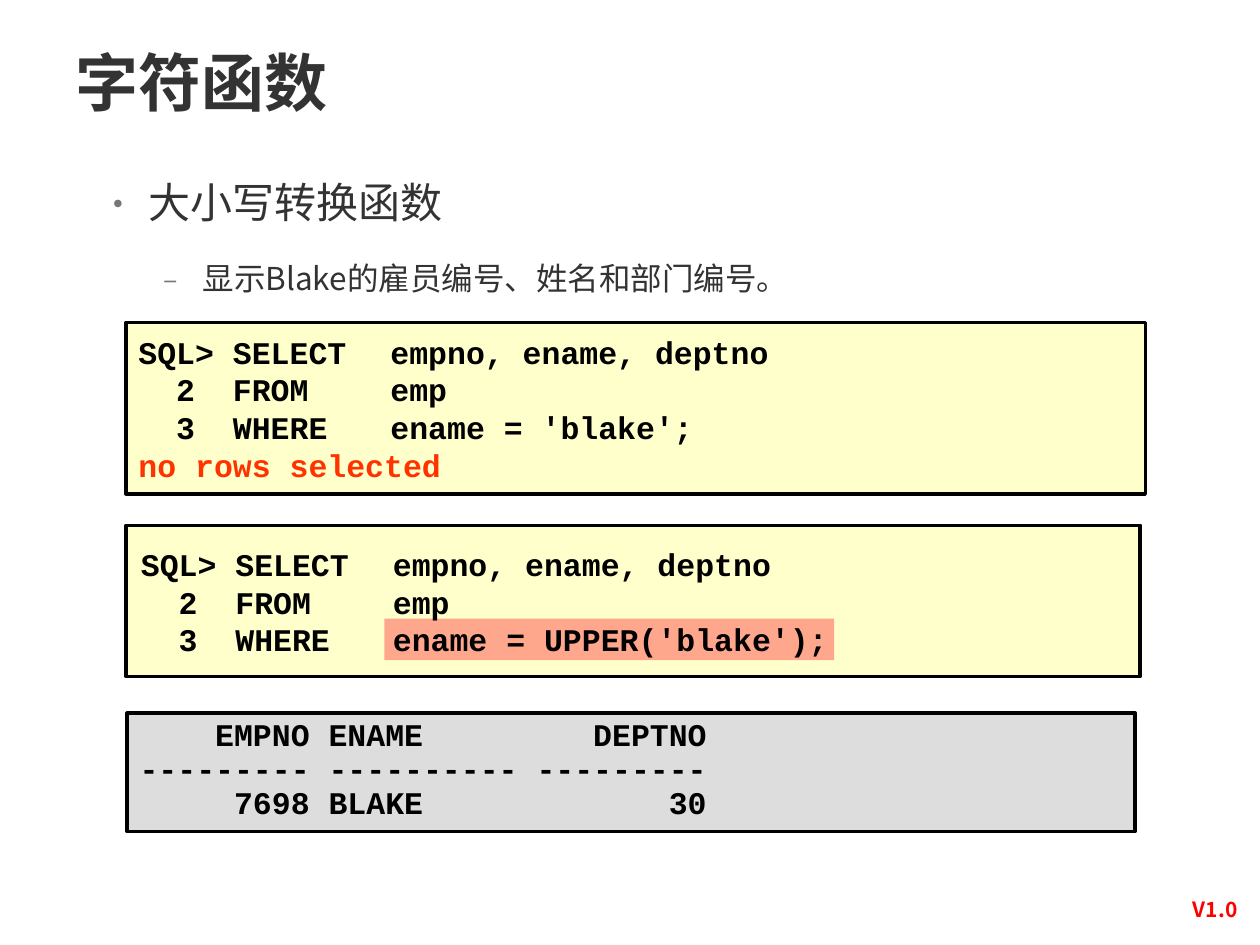
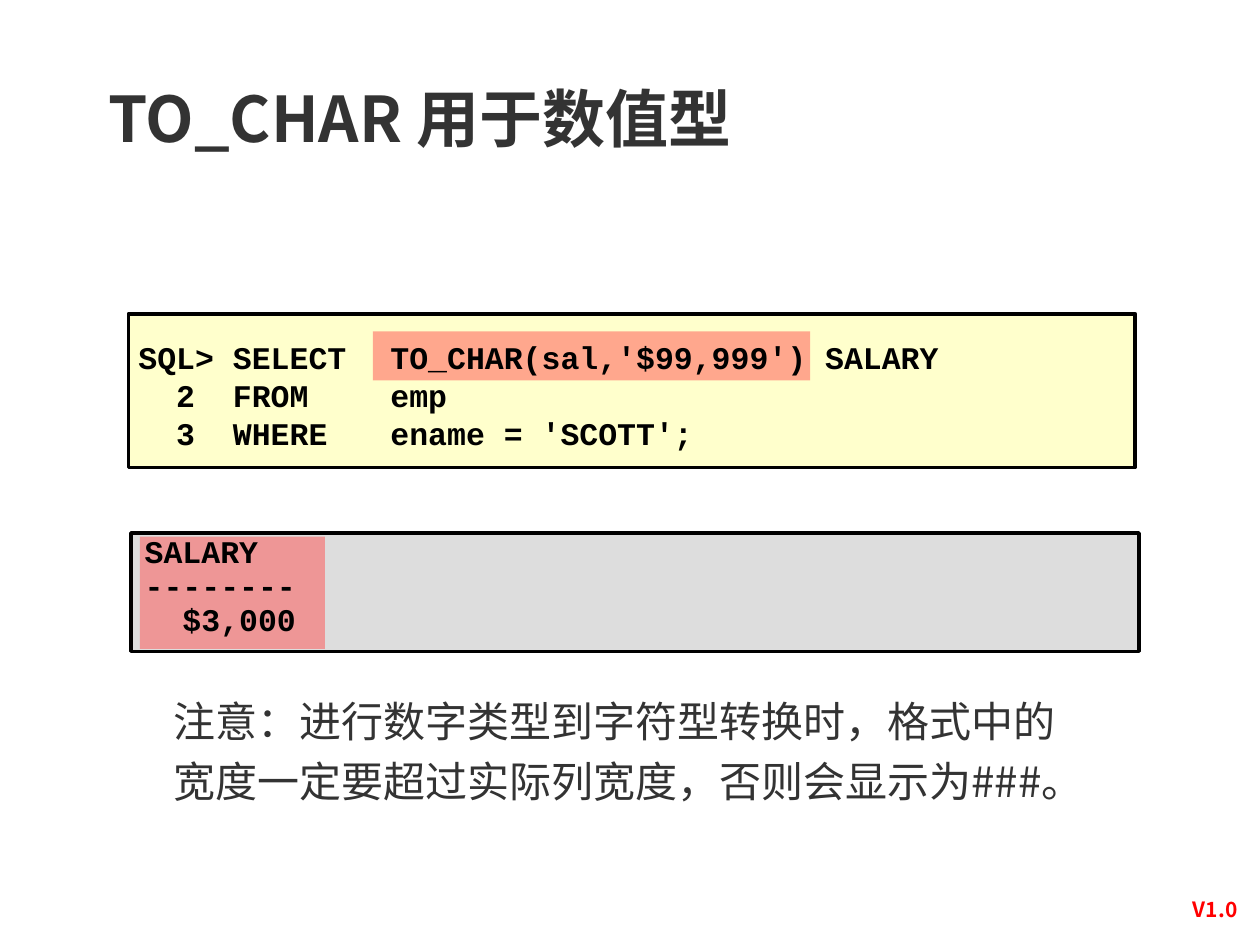
from lxml import etree
from pptx import Presentation
from pptx.dml.color import RGBColor
from pptx.enum.shapes import MSO_SHAPE
from pptx.enum.text import MSO_ANCHOR, PP_ALIGN
from pptx.oxml.ns import qn
from pptx.util import Inches, Pt

RECT = MSO_SHAPE.RECTANGLE
TOP, MIDDLE = MSO_ANCHOR.TOP, MSO_ANCHOR.MIDDLE
LEFT, CENTER = PP_ALIGN.LEFT, PP_ALIGN.CENTER
SANS, MONO = "Noto Sans CJK SC", "Courier New"
BLACK, INK, GRAY, RED, ALERT = "000000", "333333", "777777", "FF0000", "FF3300"
CREAM, SILVER, MARK = "FFFFCC", "DDDDDD", "FF5050"
TAB = 2

TITLE = dict(font=SANS, size=36, color=INK, bold=True)
HEAD = dict(font=SANS, size=24, color=INK, bold=False)
ITEM = {**HEAD, "size": 18}
FOOT = dict(font=SANS, size=12, color=RED, bold=True)
CODE = dict(font=MONO, size=18, color=BLACK, bold=True)


def rgb(value):
    """Turn a hex string into a colour."""
    return RGBColor.from_string(value)


def add(parent, tag, **attrs):
    """Append a drawing element with its attributes."""
    node = etree.SubElement(parent, qn(tag))
    for key, value in attrs.items():
        node.set(key, str(value))
    return node


def write(frame, lines, style, anchor=TOP, align=LEFT, space=1.0):
    """Fill a frame with paragraphs in one style."""
    frame.word_wrap = True
    frame.vertical_anchor = anchor
    for i, line in enumerate(lines):
        para = frame.paragraphs[0] if i == 0 else frame.add_paragraph()
        para.alignment, para.line_spacing = align, space
        run = para.add_run()
        run.text = line
        font = run.font
        values = dict(name=style["font"], size=Pt(style["size"]), bold=style["bold"])
        for key, value in values.items():
            setattr(font, key, value)
        font.color.rgb = rgb(style["color"])
        add(run.font._element, "a:ea", typeface=style["font"])
    return frame.paragraphs


def label(slide, box, lines, style, **opts):
    """Place a text box and return its paragraphs."""
    shape = slide.shapes.add_textbox(*map(Inches, box))
    return write(shape.text_frame, lines, style, **opts)


def point(slide, box, text, style, margin, hang=0, sign=None):
    """Place one indented line of body text, bulleted if a sign is given."""
    para = label(slide, box, [text], style, space=1.2)[0]
    props = para._p.get_or_add_pPr()
    props.set("marL", str(Inches(margin)))
    props.set("indent", str(-Inches(hang)))
    if sign:
        add(add(props, "a:buClr"), "a:srgbClr", val=GRAY)
        add(props, "a:buSzPct", val=85000)
        add(props, "a:buFont", typeface=SANS)
        add(props, "a:buChar", char=sign)


def block(slide, box, fill, line=None, alpha=None):
    """Draw a filled rectangle, framed or see-through on request."""
    shape = slide.shapes.add_shape(RECT, *map(Inches, box))
    shape.shadow.inherit = False
    shape.fill.solid()
    shape.fill.fore_color.rgb = rgb(fill)
    if line:
        shape.line.color.rgb = rgb(line)
        shape.line.width = Pt(2)
    else:
        shape.line.fill.background()
    if alpha:
        tint = shape._element.spPr.find(qn("a:solidFill"))[0]
        add(tint, "a:alpha", val=alpha * 1000)


def shift(box, part):
    """Move a part's box from panel to slide coordinates."""
    return (box[0] + part[0], box[1] + part[1], *part[2:])


def panel(slide, box, fill, lines, text=None, mark=None, **opts):
    """Draw a framed listing with an optional highlight behind its text."""
    block(slide, box, fill, BLACK)
    if mark:
        block(slide, shift(box, mark), MARK, alpha=50)
    paras = label(slide, shift(box, text or (0, 0, *box[2:])), lines, CODE, **opts)
    for para in paras:
        tabs = add(para._p.get_or_add_pPr(), "a:tabLst")
        add(tabs, "a:tab", pos=Inches(TAB), algn="l")
    return paras


def query(slide, box, lines, **parts):
    """Draw a panel of SQL input."""
    return panel(slide, box, CREAM, lines, anchor=MIDDLE, **parts)


def result(slide, box, lines, **parts):
    """Draw a panel of SQL output."""
    return panel(slide, box, SILVER, lines, space=0.9, **parts)


def start(deck, box, title):
    """Add a blank slide with its version mark and title."""
    slide = deck.slides.add_slide(deck.slide_layouts[6])
    label(slide, (9.25, 7.07, 0.79, 0.3), ["V1.0"], FOOT, align=CENTER)
    label(slide, box, [title], TITLE)
    return slide


def case(deck):
    """Build the slide on case conversion."""
    slide = start(deck, (0.5, 0.3, 7.97, 0.77), "字符函数")
    point(slide, (0.7, 1.27, 8.08, 0.52), "大小写转换函数", HEAD, 0.38, 0.38, "•")
    point(slide, (0.7, 1.95, 8.08, 0.42), "显示Blake的雇员编号、姓名和部门编号。",
          ITEM, 0.81, 0.31, "–")
    first = ["SQL> SELECT\tempno, ename, deptno", "  2  FROM\temp"]
    paras = query(slide, (1, 2.56, 8.09, 1.36),
                  first + ["  3  WHERE\tename = 'blake';", "no rows selected"])
    paras[-1].runs[0].font.color.rgb = rgb(ALERT)
    query(slide, (1, 4.17, 8.05, 1.2),
          first + ["  3  WHERE \tename = UPPER('blake');"],
          text=(0.02, -0.01, 8.07, 1.23), mark=(2.05, 0.74, 3.57, 0.33))
    result(slide, (1.01, 5.66, 8, 0.94),
           ["    EMPNO ENAME         DEPTNO",
            "--------- ---------- ---------",
            "     7698 BLAKE             30"])


def number(deck):
    """Build the slide on number formatting."""
    slide = start(deck, (0.76, 0.58, 8.45, 0.96), "TO_CHAR 用于数值型")
    query(slide, (1.02, 2.49, 7.99, 1.22),
          ["SQL> SELECT\tTO_CHAR(sal,'$99,999') SALARY",
           "  2  FROM\temp",
           "  3  WHERE\tename = 'SCOTT';"],
          text=(-0.02, -0.14, 8.02, 1.57), mark=(1.94, 0.14, 3.47, 0.39))
    result(slide, (1.04, 4.23, 8, 0.94), ["SALARY", "--------", "  $3,000"],
           text=(0.01, -0.02, 7.94, 0.93), mark=(0.07, 0.03, 1.47, 0.89))
    point(slide, (0.78, 5.39, 7.97, 1.07),
          "注意：进行数字类型到字符型转换时，格式中的宽度一定要超过实际列宽度，否则会显示为###。",
          HEAD, 0.5)


def main():
    """Build and save the deck."""
    deck = Presentation()
    deck.slide_width, deck.slide_height = Inches(10), Inches(7.5)
    case(deck)
    number(deck)
    deck.save("out.pptx")


if __name__ == "__main__":
    main()
